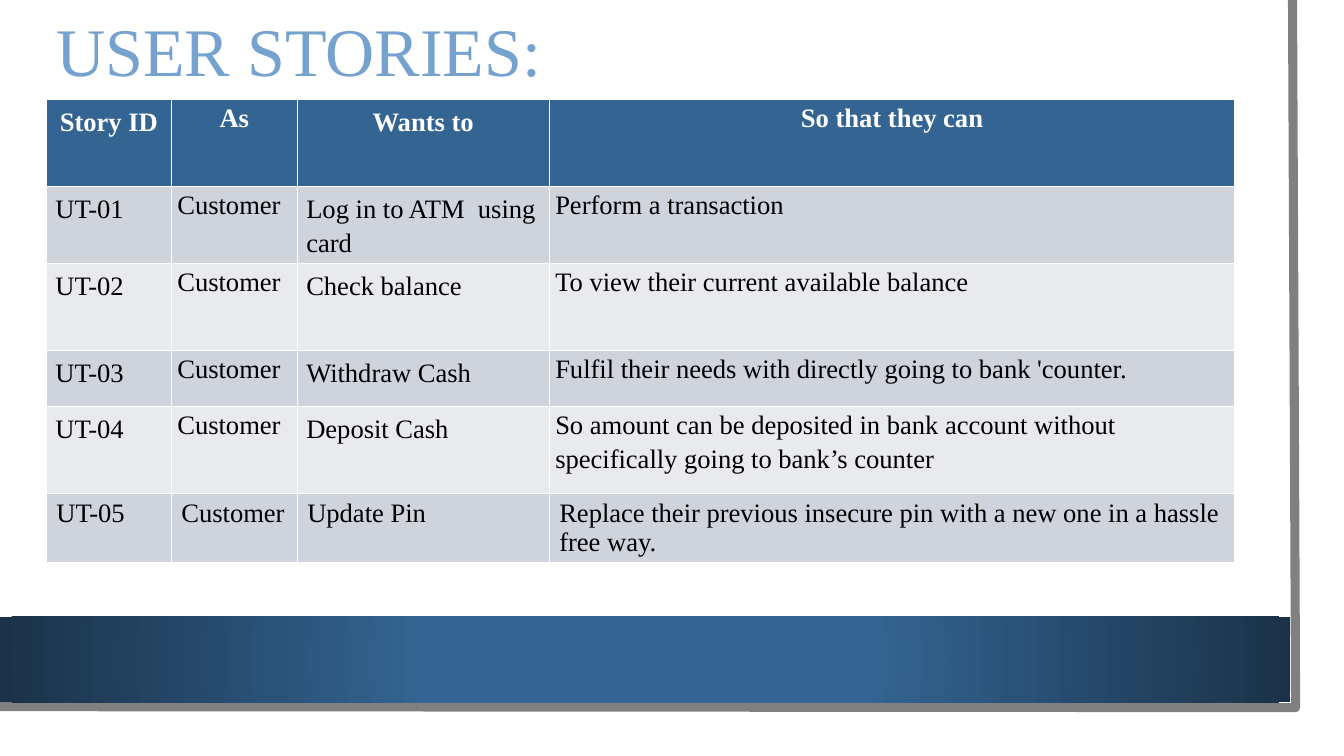
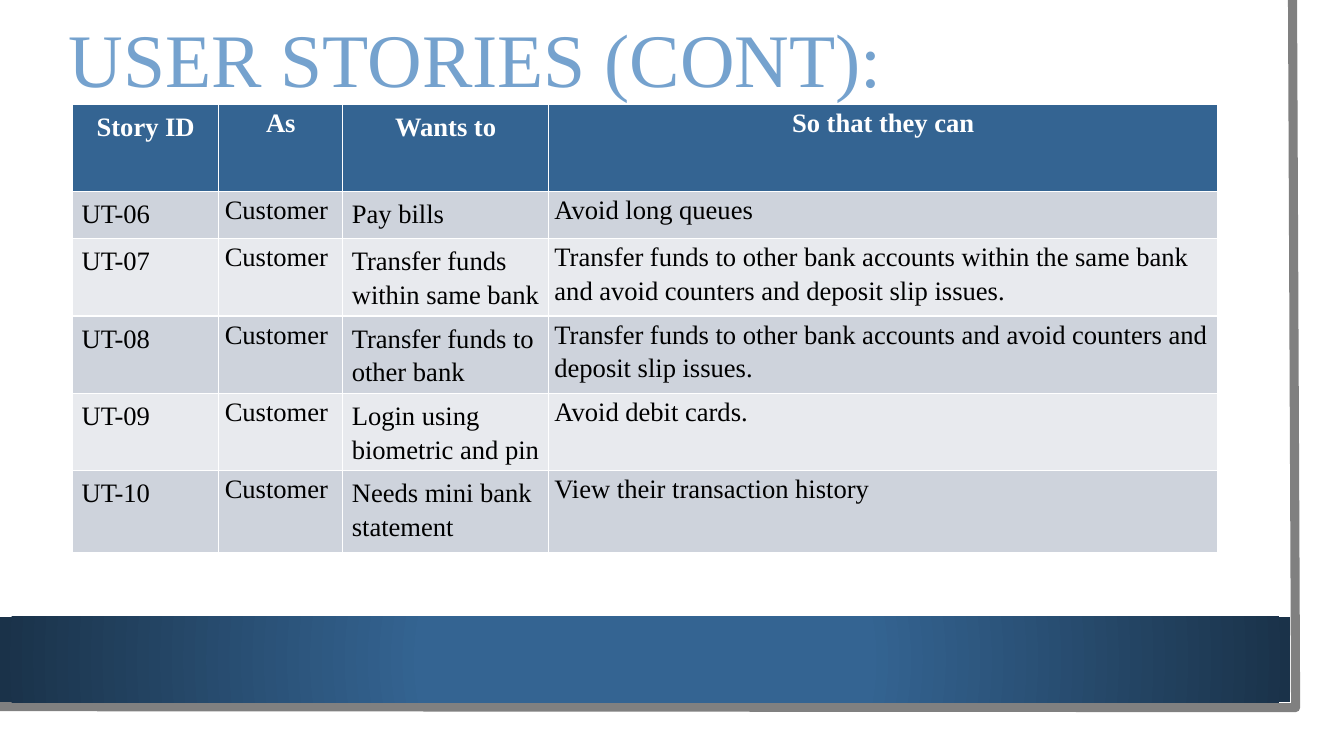
from dataclasses import dataclass

from pptx import Presentation
from pptx.dml.color import RGBColor as Rgb
from pptx.enum.shapes import MSO_SHAPE as Shape
from pptx.enum.text import MSO_ANCHOR as Anchor, MSO_AUTO_SIZE as Fit, PP_ALIGN as Align
from pptx.oxml import parse_xml
from pptx.oxml.ns import nsdecls, qn
from pptx.util import Inches, Pt


@dataclass(frozen=True)
class Theme:
    """Hold the colours, type sizes and insets of the deck."""
    font: str = "Times New Roman"
    blue: str = "346492"
    navy: str = "1A3249"
    sky: str = "75A2CE"
    grey: str = "808080"
    white: str = "FFFFFF"
    black: str = "000000"
    bands: tuple = ("CED3DC", "E8EAEE")
    body: float = 19
    edge: float = 6.5
    deep: tuple = (0.09, 0.04)
    thin: tuple = (0.06, 0)
    loose: tuple = (0.1, 0.05)


@dataclass(frozen=True)
class Page:
    """Describe one slide, with lengths in percent of the slide's size."""
    title: str
    size: float
    box: tuple
    spot: tuple
    cols: tuple
    rows: tuple
    tales: tuple
    plain: tuple = ()


THEME = Theme()
WIDE, HIGH = 13.33, 7.5
HEAD = ("Story ID", "As", "Wants to", "So that they can")

PAGES = (
    Page("USER STORIES:", 48.6, (3.45, 3.07, 85.3, 8.27), (3.45, 13.2),
         (9.3, 9.37, 18.75, 51.01), (11.47, 10.2, 11.47, 7.47, 11.47, 9.07),
         (("UT-01", "Log in to ATM  using card", "Perform a transaction"),
          ("UT-02", "Check balance", "To view their current available balance"),
          ("UT-03", "Withdraw Cash",
           "Fulfil their needs with directly going to bank 'counter."),
          ("UT-04", "Deposit Cash",
           "So amount can be deposited in bank account without "
           "specifically going to bank’s counter"),
          ("UT-05", "Update Pin",
           "Replace their previous insecure pin with a new one in a hassle free way.")),
         plain=("UT-05",)),
    Page("USER STORIES (CONT):", 54, (4.35, 0, 85.3, 16.8), (5.4, 13.87),
         (10.88, 9.23, 15.3, 49.81), (11.47, 6.2, 10.27, 10.2, 10.27, 10.8),
         (("UT-06", "Pay bills", "Avoid long queues"),
          ("UT-07", "Transfer funds within same bank",
           "Transfer funds to other bank accounts within the same bank "
           "and avoid counters and deposit slip issues."),
          ("UT-08", "Transfer funds to other bank",
           "Transfer funds to other bank accounts and avoid counters "
           "and deposit slip issues."),
          ("UT-09", "Login using biometric and pin", "Avoid debit cards."),
          ("UT-10", "Needs mini bank statement", "View their transaction history"))),
)


def across(share):
    """Turn a percent of the slide's width into a length."""
    return Inches(WIDE * share / 100)


def down(share):
    """Turn a percent of the slide's height into a length."""
    return Inches(HIGH * share / 100)


def place(left, top, width, height):
    """Turn a box in percent into four lengths."""
    return across(left), down(top), across(width), down(height)


def write(frame, text, size=THEME.body, color=THEME.black, bold=False,
          align=Align.LEFT, lead=1.0, after=0):
    """Write one formatted paragraph into a text frame."""
    frame.text = text
    para = frame.paragraphs[0]
    para.alignment, para.line_spacing, para.space_after = align, lead, Pt(after)
    font = para.runs[0].font
    font.name, font.size, font.bold = THEME.font, Pt(size), bold
    font.color.rgb = Rgb.from_string(color)


def add_band(slide):
    """Draw the bottom band with its round gradient."""
    band = slide.shapes.add_shape(Shape.RECTANGLE, *place(0, 81.6, 96.02, 11.33))
    band.shadow.inherit = False
    band.line.fill.background()
    band.fill.background()
    props = band.element.spPr
    stops = "".join(
        f'<a:gs pos="{spot * 1000}"><a:srgbClr val="{color}"/></a:gs>'
        for spot, color in ((34, THEME.blue), (100, THEME.navy)))
    props.replace(props.find(qn("a:noFill")), parse_xml(
        f'<a:gradFill {nsdecls("a")}><a:gsLst>{stops}</a:gsLst><a:path path="circle">'
        '<a:fillToRect l="50000" t="50000" r="50000" b="50000"/></a:path></a:gradFill>'))
    return band


def add_edge(slide):
    """Draw the grey line along the right and bottom of the page."""
    start, *rest = [(across(x), down(y)) for x, y in ((96.17, 0), (96.4, 93.6), (0, 93.47))]
    pen = slide.shapes.build_freeform(*start)
    pen.add_line_segments(rest, close=False)
    edge = pen.convert_to_shape()
    edge.shadow.inherit = False
    edge.fill.background()
    edge.line.color.rgb = Rgb.from_string(THEME.grey)
    edge.line.width = Pt(THEME.edge)
    return edge


def dress(layout, slide):
    """Clear the layout's footers and move the edge and band onto it."""
    for holder in list(layout.placeholders)[1:]:
        holder.element.getparent().remove(holder.element)
    for part in (add_edge(slide), add_band(slide)):
        layout.shapes.element.append(part.element)


def add_title(slide, page):
    """Set and place the slide's title."""
    title = slide.shapes.title
    title.left, title.top, title.width, title.height = place(*page.box)
    frame = title.text_frame
    frame.auto_size, frame.word_wrap = Fit.NONE, True
    frame.vertical_anchor = Anchor.MIDDLE
    write(frame, page.title, size=page.size, color=THEME.sky, lead=0.9)


def fill_cell(cell, text, fill, inset, **style):
    """Give a table cell its fill, insets and text."""
    cell.fill.solid()
    cell.fill.fore_color.rgb = Rgb.from_string(fill)
    cell.margin_left = cell.margin_right = Inches(inset[0])
    cell.margin_top = cell.margin_bottom = Inches(inset[1])
    write(cell.text_frame, text, **style)


def add_tales(slide, page):
    """Draw the table of user stories."""
    box = place(*page.spot, sum(page.cols), sum(page.rows))
    grid = slide.shapes.add_table(len(page.rows), len(page.cols), *box).table
    for col, share in zip(grid.columns, page.cols):
        col.width = across(share)
    for row, share in zip(grid.rows, page.rows):
        row.height = down(share)
    roomy = {"lead": 1.15, "after": 8}
    insets = (THEME.deep, THEME.thin) * 2
    for cell, text, inset in zip(grid.rows[0].cells, HEAD, insets):
        fill_cell(cell, text, THEME.blue, inset, color=THEME.white,
                  bold=True, align=Align.CENTER, **roomy)
    for num, (key, want, goal) in enumerate(page.tales):
        plain = key in page.plain
        style = {} if plain else roomy
        pads = (THEME.loose,) * 4 if plain else insets
        texts = (key, "Customer", want, goal)
        for cell, text, inset in zip(grid.rows[num + 1].cells, texts, pads):
            fill_cell(cell, text, THEME.bands[num % 2], inset, **style)


def main():
    """Build and save the deck."""
    deck = Presentation()
    deck.slide_width, deck.slide_height = Inches(WIDE), Inches(HIGH)
    layout = deck.slide_layouts.get_by_name("Title Only")
    slides = [deck.slides.add_slide(layout) for _ in PAGES]
    dress(layout, slides[0])
    for slide, page in zip(slides, PAGES):
        add_title(slide, page)
        add_tales(slide, page)
    deck.save("out.pptx")


if __name__ == "__main__":
    main()
